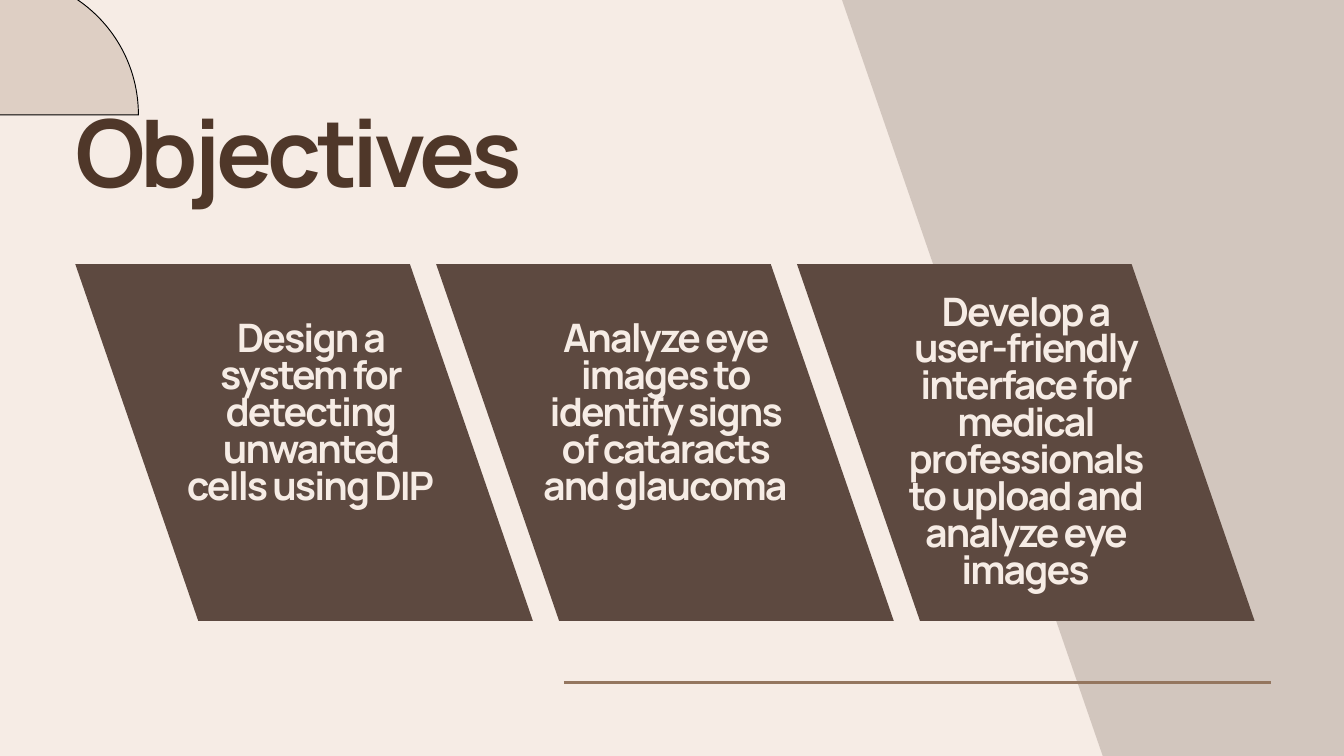
import pptx
import pptx.dml.color
import pptx.enum.shapes
import pptx.enum.text
import pptx.util
import pptx.oxml
import pptx.oxml.ns
from pptx.util import Inches

CREAM, BROWN, TAN, TITLE_BROWN = "F6ECE5", "5D4940", "94765F", "4F3729"
FONT = "Manrope"
NAMESPACE = pptx.oxml.ns.nsdecls("a")

# Left edge of each text box, its top and height, and its wording
OBJECTIVES = [
    (2.75, 4.82, 3.33, "Design a system for detecting unwanted cells using DIP"),
    (8.03, 4.82, 3.33, "Analyze eye images to identify signs of cataracts and glaucoma"),
    (13.39, 4.42, 4.41, "Develop a user-friendly interface for medical "
                        "professionals to upload and analyze eye images"),
]


def color(hex_string):
    return pptx.dml.color.RGBColor.from_string(hex_string)


def add_outline(slide, start, segments, fill, opacity=100):
    """Closed shape; a segment is [end] or, for a curve, [control, control, end]."""
    builder = slide.shapes.build_freeform(Inches(start[0]), Inches(start[1]), scale=1.0)
    builder.add_line_segments(
        [(Inches(x), Inches(y)) for x, y in (segment[-1] for segment in segments)],
        close=True)
    shape = builder.convert_to_shape()
    shape.shadow.inherit = False
    shape.line.fill.background()
    shape.fill.solid()
    shape.fill.fore_color.rgb = color(fill)
    properties = shape._element.spPr
    if opacity < 100:
        fill_color = properties.find(".//" + pptx.oxml.ns.qn("a:srgbClr"))
        fill_color.append(pptx.oxml.parse_xml(
            f'<a:alpha {NAMESPACE} val="{opacity * 1000}"/>'))

    # Turn the straight steps of curved segments into cubic curves
    steps = properties.findall(".//" + pptx.oxml.ns.qn("a:lnTo"))
    for step, segment in zip(steps, segments):
        if len(segment) == 3:
            points = "".join(
                f'<a:pt x="{Inches(x) - shape.left}" y="{Inches(y) - shape.top}"/>'
                for x, y in segment)
            step.getparent().replace(step, pptx.oxml.parse_xml(
                f'<a:cubicBezTo {NAMESPACE}>{points}</a:cubicBezTo>'))
    return shape


def add_slanted_box(slide, left, top, width, height, slant, fill, opacity=100):
    """Parallelogram whose lower edge is shifted right by slant."""
    right, bottom = left + width, top + height
    corners = [(left, top), (left + slant, bottom), (right, bottom)]
    add_outline(slide, (right - slant, top), [[corner] for corner in corners],
                fill, opacity)


def add_text(slide, left, top, width, height, text, size, spacing, tracking, fill):
    box = slide.shapes.add_textbox(Inches(left), Inches(top), Inches(width), Inches(height))
    frame = box.text_frame
    frame.margin_left = frame.margin_right = frame.margin_top = frame.margin_bottom = 0
    frame.word_wrap = True
    frame.text = text
    paragraph = frame.paragraphs[0]
    paragraph.line_spacing = pptx.util.Pt(spacing)
    run = paragraph.runs[0]
    run.font.name = FONT
    run.font.size = pptx.util.Pt(size)
    run.font.bold = True
    run.font.color.rgb = color(fill)
    run._r.get_or_add_rPr().set("spc", str(round(tracking * 100)))
    return paragraph


def add_corner_ornament(slide, left, top, width, height):
    """Two stacked domes, symmetric about the vertical axis."""
    right, bottom = left + width, top + height
    center, brim, neck = left + width / 2, top + 2.05, 1.14
    shape = add_outline(slide, (right, bottom), [
        [(left, bottom)],
        [(left, brim + 1), (center - 1.69, brim + 0.37), (center - neck, brim)],
        [(left, brim)],
        [(left, top + 0.92), (center - 1.13, top), (center, top)],
        [(center + 1.13, top), (right, top + 0.92), (right, brim)],
        [(center + neck, brim)],
        [(center + 1.69, brim + 0.37), (right, brim + 1), (right, bottom)],
    ], TAN, 24)
    shape.line.color.rgb = color("000000")
    shape.line.width = pptx.util.Pt(1)


def add_cards(slide, left, top, width, height, pitch):
    for index in range(len(OBJECTIVES)):
        add_slanted_box(slide, left + index * pitch, top, width, height, 1.83, BROWN)


def add_objectives(slide, width):
    for left, top, height, text in OBJECTIVES:
        paragraph = add_text(slide, left, top, width, height, text, 42, 39.5, -2, CREAM)
        paragraph.alignment = pptx.enum.text.PP_ALIGN.CENTER


def add_rule(slide, left, top, width):
    rule = slide.shapes.add_connector(
        pptx.enum.shapes.MSO_CONNECTOR.STRAIGHT,
        Inches(left), Inches(top), Inches(left + width), Inches(top))
    rule.line.color.rgb = color(TAN)
    rule.line.width = pptx.util.Pt(3)
    rule._element.spPr.append(pptx.oxml.parse_xml(f'<a:effectLst {NAMESPACE}/>'))


def main():
    presentation = pptx.Presentation()
    presentation.slide_width, presentation.slide_height = Inches(20), Inches(11.25)
    slide = presentation.slides.add_slide(presentation.slide_layouts[6])
    slide.background.fill.solid()
    slide.background.fill.fore_color.rgb = color(CREAM)

    # Background decoration
    add_corner_ornament(slide, -2.05, -2.06, 4.11, 3.77)
    add_slanted_box(slide, 12.53, 0, 14.41, 11.25, 3.88, BROWN, 23)

    # Cards, title, card texts and closing rule
    add_cards(slide, 1.12, 3.93, 6.81, 5.31, 5.37)
    add_text(slide, 1.12, 1.76, 8.88, 1.5, "Objectives", 100, 94, -4.8, TITLE_BROWN)
    add_objectives(slide, 3.74)
    add_rule(slide, 8.39, 10.16, 10.53)

    presentation.save("out.pptx")


if __name__ == "__main__":
    main()
